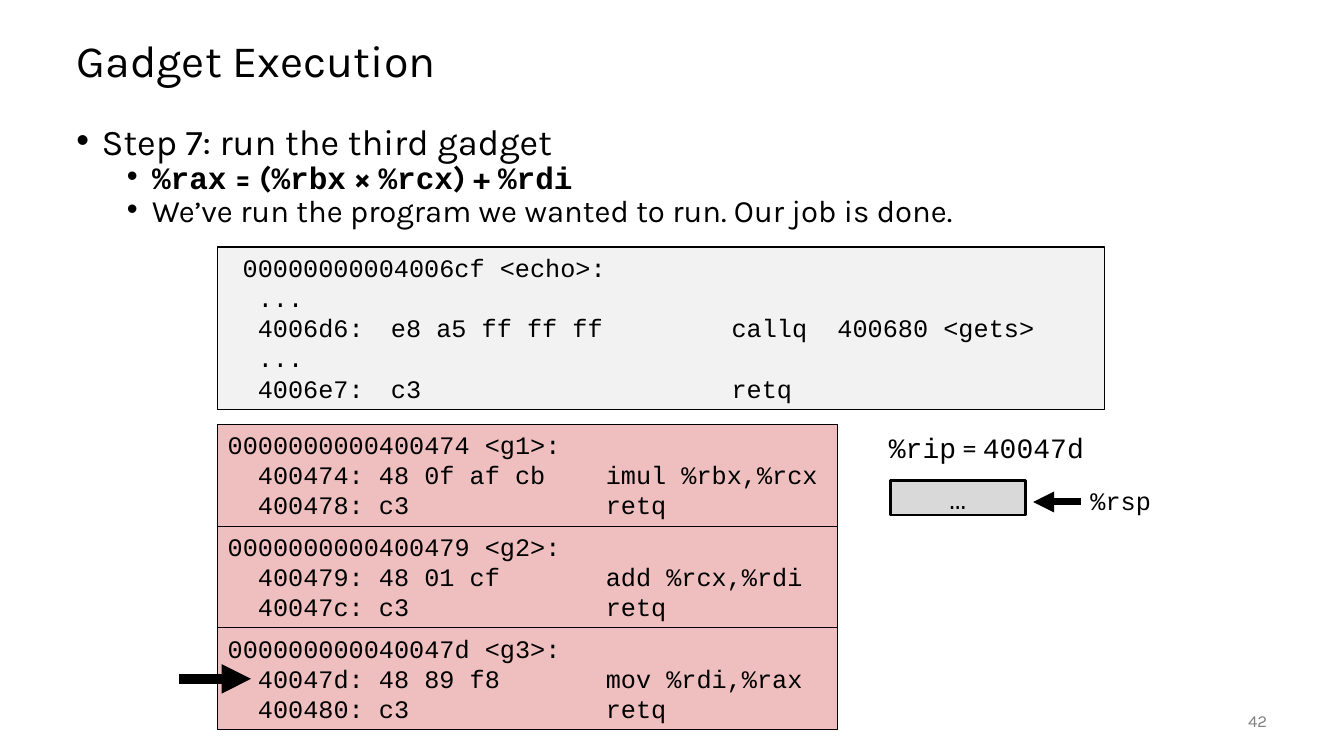
from dataclasses import dataclass
from lxml import etree
from pptx import Presentation
from pptx.dml.color import RGBColor
from pptx.enum.shapes import MSO_CONNECTOR, MSO_SHAPE
from pptx.enum.text import MSO_ANCHOR, MSO_AUTO_SIZE, PP_ALIGN
from pptx.oxml.ns import qn
from pptx.util import Inches, Pt

RECTANGLE = MSO_SHAPE.RECTANGLE
STRAIGHT = MSO_CONNECTOR.STRAIGHT
TOP, MIDDLE = MSO_ANCHOR.TOP, MSO_ANCHOR.MIDDLE
LEFT, CENTER, RIGHT = PP_ALIGN.LEFT, PP_ALIGN.CENTER, PP_ALIGN.RIGHT
NO_FIT = MSO_AUTO_SIZE.NONE

# The slide is a grid of 100 columns by 100 rows
SLIDE_WIDTH, SLIDE_HEIGHT = Inches(13.33), Inches(7.5)
COLUMN, ROW = SLIDE_WIDTH / 100, SLIDE_HEIGHT / 100


@dataclass(frozen=True)
class Theme:
    sans: str = "Karla"
    mono: str = "Courier New"
    math: str = "Calibri"
    ink: str = "000000"
    muted: str = "808080"
    code_fill: str = "F2F2F2"
    gadget_fill: str = "EFBFBF"
    stack_fill: str = "D9D9D9"
    title: float = 32
    step: float = 25.9
    detail: float = 22.2
    register: float = 20
    code: float = 18
    number: float = 12


THEME = Theme()


@dataclass(frozen=True)
class Box:
    """An area in columns and rows."""
    left: float
    top: float
    width: float
    height: float

    def inner(self, left, top, width, height):
        return Box(self.left + left, self.top + top, width, height)

    def lengths(self):
        return (round(self.left * COLUMN), round(self.top * ROW),
                round(self.width * COLUMN), round(self.height * ROW))


def set_font(font, name, size, color=THEME.ink, bold=False):
    font.name, font.size, font.bold = name, Pt(size), bold
    font.color.rgb = RGBColor.from_string(color)


def prepare_frame(frame, anchor=TOP):
    frame.word_wrap = True
    frame.auto_size = NO_FIT
    frame.vertical_anchor = anchor
    return frame


def add_paragraphs(frame, count):
    return [frame.paragraphs[0]] + [frame.add_paragraph() for _ in range(count - 1)]


def add_runs(paragraph, runs, size, bold=False):
    for text, name in runs:
        run = paragraph.add_run()
        run.text = text
        set_font(run.font, name, size, bold=bold)


def write_lines(frame, lines, size, name=THEME.mono, color=THEME.ink,
                alignment=LEFT, tabs=()):
    for paragraph, line in zip(add_paragraphs(frame, len(lines)), lines):
        paragraph.text = line
        paragraph.alignment = alignment
        if tabs:
            tab_list = etree.SubElement(paragraph._p.get_or_add_pPr(), qn("a:tabLst"))
            for position in tabs:
                etree.SubElement(tab_list, qn("a:tab"),
                                 pos=str(round(position * COLUMN)), algn="l")
        set_font(paragraph.font, name, size, color)


def add_text_frame(slide, box, anchor=TOP):
    return prepare_frame(slide.shapes.add_textbox(*box.lengths()).text_frame, anchor)


def add_panel(slide, box, fill, line_width, anchor=TOP):
    panel = slide.shapes.add_shape(RECTANGLE, *box.lengths())
    panel.shadow.inherit = False
    panel.fill.solid()
    panel.fill.fore_color.rgb = RGBColor.from_string(fill)
    panel.line.color.rgb = RGBColor.from_string(THEME.ink)
    panel.line.width = Pt(line_width)
    return prepare_frame(panel.text_frame, anchor)


def add_arrow(slide, start, end, row, width):
    y = round(row * ROW)
    arrow = slide.shapes.add_connector(
        STRAIGHT, round(start * COLUMN), y, round(end * COLUMN), y)
    arrow.line.color.rgb = RGBColor.from_string(THEME.ink)
    arrow.line.width = Pt(width)
    etree.SubElement(arrow.line._get_or_add_ln(), qn("a:tailEnd"), type="triangle")
    etree.SubElement(arrow._element.spPr, qn("a:effectLst"))


def add_title(slide, box, text):
    title = slide.shapes.title
    title.left, title.top, title.width, title.height = box.lengths()
    frame = prepare_frame(title.text_frame, MIDDLE)
    write_lines(frame, [text], THEME.title, THEME.sans)
    frame.paragraphs[0].line_spacing = 0.9


def add_bullets(slide, box, bullets):
    frame = add_text_frame(slide, box)
    for index, (paragraph, (level, bold, runs)) in enumerate(
            zip(add_paragraphs(frame, len(bullets)), bullets)):
        paragraph.level = level
        paragraph.line_spacing = 0.7
        if index:
            paragraph.space_before = Pt(5)
        properties = paragraph._p.get_or_add_pPr()
        properties.set("marL", str(Inches(0.25 + 0.5 * level)))
        properties.set("indent", str(Inches(-0.25)))
        etree.SubElement(properties, qn("a:buFont"), typeface="Arial")
        etree.SubElement(properties, qn("a:buChar"), char="•")
        add_runs(paragraph, runs, THEME.detail if level else THEME.step, bold)


def add_echo_code(slide, box, lines):
    frame = add_panel(slide, box, THEME.code_fill, 1)
    write_lines(frame, lines, THEME.code, tabs=(12.15, 37.5))


def add_gadgets(slide, box, gadgets, current):
    height = box.height / len(gadgets)
    for index, lines in enumerate(gadgets):
        area = box.inner(0, index * height, box.width, height)
        write_lines(add_panel(slide, area, THEME.gadget_fill, 0.75), lines, THEME.code)
    # Arrow at the running instruction
    add_arrow(slide, box.left - 2.85, box.left + 2.48,
              box.top + (current + 0.5) * height, 7)


def add_registers(slide, box):
    # Instruction pointer
    pointer = add_text_frame(slide, box.inner(0, 0, 16.13, 5.87))
    add_runs(pointer.paragraphs[0],
             [("%rip", THEME.mono), (" = ", THEME.math), ("40047d", THEME.mono)],
             THEME.register)
    # Stack cell with the stack pointer
    cell = add_panel(slide, box.inner(0.83, 7.33, 10.05, 4.53),
                     THEME.stack_fill, 2, MIDDLE)
    write_lines(cell, ["…"], THEME.register, alignment=CENTER)
    label = box.inner(15, 7.33, 7.65, 5.33)
    write_lines(add_text_frame(slide, label), ["%rsp"], THEME.code)
    add_arrow(slide, label.left, box.left + 11.47, box.top + 10.13, 5)


def add_slide_number(slide, box, number):
    write_lines(add_text_frame(slide, box, MIDDLE), [number], THEME.number,
                THEME.sans, THEME.muted, RIGHT)


BULLETS = [
    (0, False, [("Step 7: run the third gadget", THEME.sans)]),
    (1, True, [("%rax", THEME.mono), (" = (", THEME.sans), ("%rbx", THEME.mono),
               (" × ", THEME.sans), ("%rcx", THEME.mono), (") + ", THEME.sans),
               ("%rdi", THEME.mono)]),
    (1, False, [("We’ve run the program we wanted to run. Our job is done.",
                 THEME.sans)]),
]
ECHO_CODE = [" 00000000004006cf <echo>:", "  ...",
             "  4006d6:\te8 a5 ff ff ff\tcallq  400680 <gets>", "  ...",
             "  4006e7:\tc3\tretq"]
GADGETS = [
    ["0000000000400474 <g1>:", "  400474: 48 0f af cb    imul %rbx,%rcx",
     "  400478: c3             retq"],
    ["0000000000400479 <g2>:", "  400479: 48 01 cf       add %rcx,%rdi",
     "  40047c: c3             retq"],
    ["000000000040047d <g3>:", "  40047d: 48 89 f8       mov %rdi,%rax",
     "  400480: c3             retq"],
]


def main():
    presentation = Presentation()
    presentation.slide_width, presentation.slide_height = SLIDE_WIDTH, SLIDE_HEIGHT
    slide = presentation.slides.add_slide(presentation.slide_layouts[5])
    add_title(slide, Box(4.95, 3.33, 90, 10), "Gadget Execution")
    add_bullets(slide, Box(4.95, 16.67, 90, 14.53), BULLETS)
    add_echo_code(slide, Box(16.2, 32.67, 66, 21.47), ECHO_CODE)
    add_gadgets(slide, Box(16.2, 56.13, 46.13, 40.4), GADGETS, current=2)
    add_registers(slide, Box(65.4, 56.27, 22.65, 12.67))
    add_slide_number(slide, Box(87.53, 92.67, 7.5, 5.33), "42")
    presentation.save("out.pptx")


if __name__ == "__main__":
    main()
